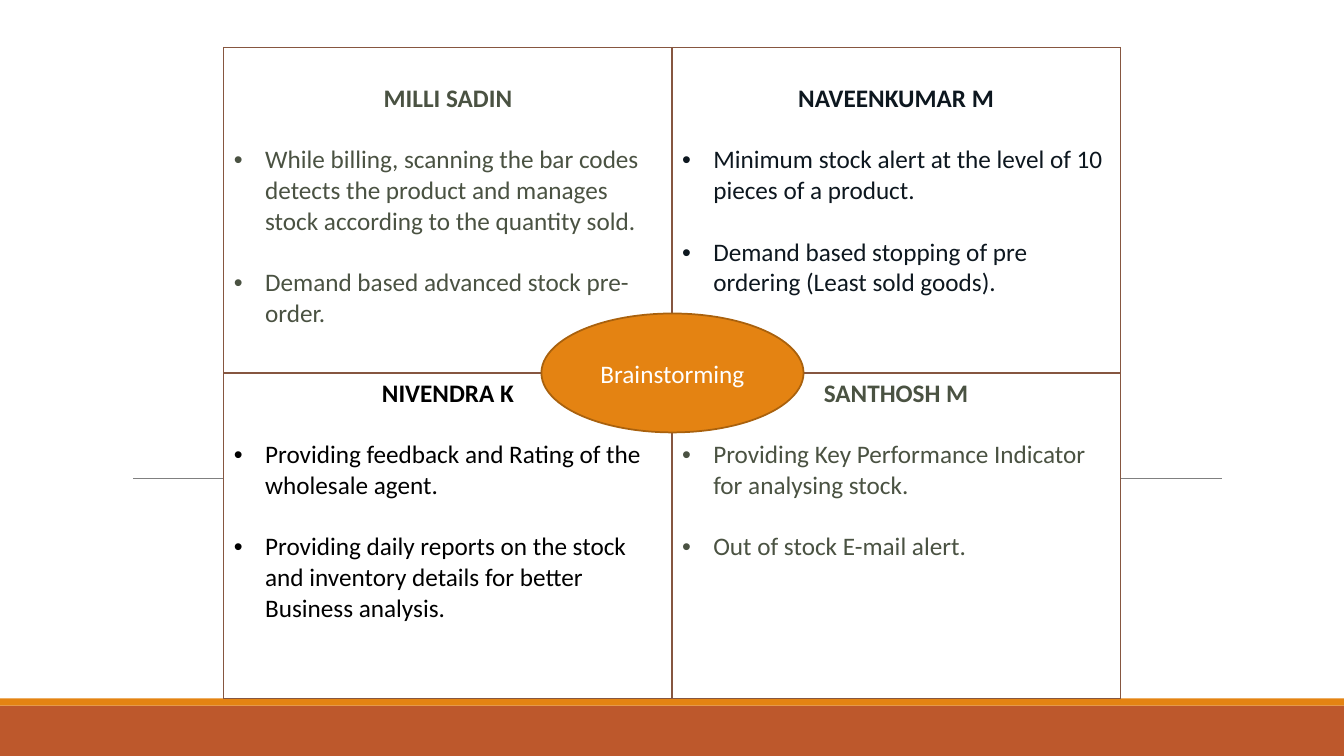
"""Build the brainstorming slide: a two by two idea grid around a central oval."""
from dataclasses import dataclass

from lxml import etree
from pptx import Presentation
from pptx import util as u
from pptx.dml.color import RGBColor
from pptx.enum import shapes, text
from pptx.oxml import parse_xml
from pptx.oxml.ns import nsdecls, qn

WHITE = RGBColor(0xFF, 0xFF, 0xFF)
BLACK = RGBColor(0x00, 0x00, 0x00)
OLIVE = RGBColor(0x4A, 0x52, 0x42)
NAVY = RGBColor(0x0D, 0x17, 0x1F)
ORANGE = RGBColor(0xE4, 0x83, 0x12)
DARK_ORANGE = RGBColor(0xA9, 0x61, 0x0D)
RUST = RGBColor(0xBD, 0x58, 0x2C)
BROWN = RGBColor(0x86, 0x56, 0x40)
GREY = RGBColor(0x80, 0x80, 0x80)

LINE_GAP = u.Pt(22)
HANGING = u.Inches(0.31)
CELL_TOP = u.Inches(0.05)


@dataclass(frozen=True)
class Member:
    """One team member's quadrant."""
    name: str
    ideas: tuple[str, ...]
    color: RGBColor
    top: int = CELL_TOP


@dataclass(frozen=True)
class Block:
    """A filled preset shape."""
    kind: shapes.MSO_SHAPE
    left: float
    top: float
    width: float
    height: float
    fill: RGBColor
    line: RGBColor | None = None
    label: str = ""


QUADRANTS = (
    (
        Member("MILLI SADIN", (
            "While billing, scanning the bar codes detects the product and "
            "manages stock according to the quantity sold.",
            "Demand based advanced stock pre-order.",
        ), OLIVE, CELL_TOP + LINE_GAP),
        Member("NAVEENKUMAR M", (
            "Minimum stock alert at the level of 10 pieces of a product.",
            "Demand based stopping of pre ordering (Least sold goods).",
        ), NAVY, CELL_TOP + LINE_GAP),
    ),
    (
        Member("NIVENDRA K", (
            "Providing feedback and Rating of the wholesale agent.",
            "Providing daily reports on the stock and inventory details for "
            "better Business analysis.",
        ), BLACK),
        Member("SANTHOSH M", (
            "Providing Key Performance Indicator for analysing stock.",
            "Out of stock E-mail alert.",
        ), OLIVE),
    ),
)
FOOTER = (
    Block(shapes.MSO_SHAPE.RECTANGLE, 0, 7, 13.33, 0.5, RUST),
    Block(shapes.MSO_SHAPE.RECTANGLE, 0, 6.93, 13.33, 0.07, ORANGE),
)
TOPIC = Block(shapes.MSO_SHAPE.OVAL, 5.37, 3.11, 2.6, 1.18, ORANGE,
              DARK_ORANGE, "Brainstorming")


def write(frame, words: str, *, color: RGBColor, bold: bool = False,
          centered: bool = False, bullet: bool = False, before: int = 0) -> None:
    """Append a formatted paragraph, filling the first one if it is empty."""
    para = frame.paragraphs[0] if not frame.text else frame.add_paragraph()
    para.alignment = text.PP_ALIGN.CENTER if centered else text.PP_ALIGN.LEFT
    para.space_before = before
    span = para.add_run()
    span.text = words
    span.font.name, span.font.size = "Calibri", u.Pt(18)
    span.font.bold, span.font.color.rgb = bold, color
    if bullet:
        props = para._p.get_or_add_pPr()
        props.set("marL", str(HANGING))
        props.set("indent", str(-HANGING))
        etree.SubElement(props, qn("a:buFont")).set("typeface", "Arial")
        etree.SubElement(props, qn("a:buChar")).set("char", "•")


def add_block(page, block: Block) -> None:
    """Draw a filled shape with an optional outline and label."""
    place = map(u.Inches, (block.left, block.top, block.width, block.height))
    shape = page.shapes.add_shape(block.kind, *place)
    shape.shadow.inherit = False
    shape.fill.solid()
    shape.fill.fore_color.rgb = block.fill
    if block.line is None:
        shape.line.fill.background()
    else:
        shape.line.color.rgb, shape.line.width = block.line, u.Pt(1.25)
    if block.label:
        shape.text_frame.vertical_anchor = text.MSO_ANCHOR.MIDDLE
        write(shape.text_frame, block.label, color=WHITE, centered=True)


def add_rule(page, left: float, right: float, height: float) -> None:
    """Draw the thin horizontal rule behind the grid."""
    rule = page.shapes.add_connector(
        shapes.MSO_CONNECTOR.STRAIGHT,
        *map(u.Inches, (left, height, right, height)))
    rule.line.color.rgb, rule.line.width = GREY, u.Pt(0.5)
    etree.SubElement(rule._element.spPr, qn("a:effectLst"))


def add_borders(cell, color: RGBColor, width: int) -> None:
    """Outline all four sides of a table cell."""
    props = cell._tc.get_or_add_tcPr()
    for index, side in enumerate("LRTB"):
        props.insert(index, parse_xml(
            f'<a:ln{side} {nsdecls("a")} w="{width}"><a:solidFill>'
            f'<a:srgbClr val="{color}"/></a:solidFill></a:ln{side}>'))


def fill_quadrant(cell, member: Member) -> None:
    """Write a member's name and ideas into a cell."""
    cell.fill.solid()
    cell.fill.fore_color.rgb = WHITE
    cell.margin_top = member.top
    add_borders(cell, BROWN, u.Pt(1))
    write(cell.text_frame, member.name, color=member.color, bold=True, centered=True)
    for idea in member.ideas:
        write(cell.text_frame, idea, color=member.color, bullet=True, before=LINE_GAP)


def add_grid(page) -> None:
    """Draw the table of team members."""
    table = page.shapes.add_table(
        2, 2, *map(u.Inches, (2.22, 0.47, 8.89, 6.46))).table
    table.first_row = table.horz_banding = False
    for row, members in enumerate(QUADRANTS):
        for column, member in enumerate(members):
            fill_quadrant(table.cell(row, column), member)


def main() -> None:
    """Assemble and save the deck."""
    deck = Presentation()
    deck.slide_width, deck.slide_height = u.Inches(13.33), u.Inches(7.5)
    page = deck.slides.add_slide(deck.slide_layouts[6])
    for band in FOOTER:
        add_block(page, band)
    add_rule(page, 1.32, 12.12, 4.75)
    add_grid(page)
    add_block(page, TOPIC)
    deck.save("out.pptx")


main()
